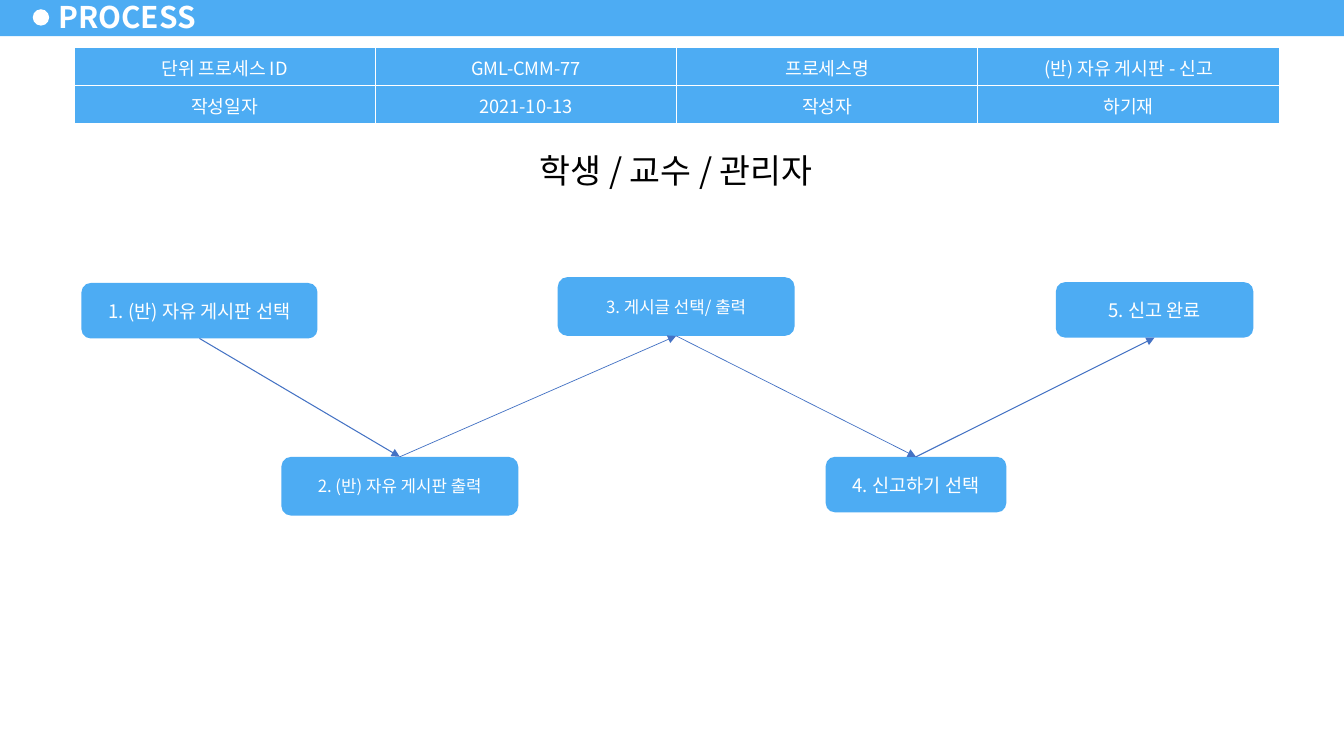
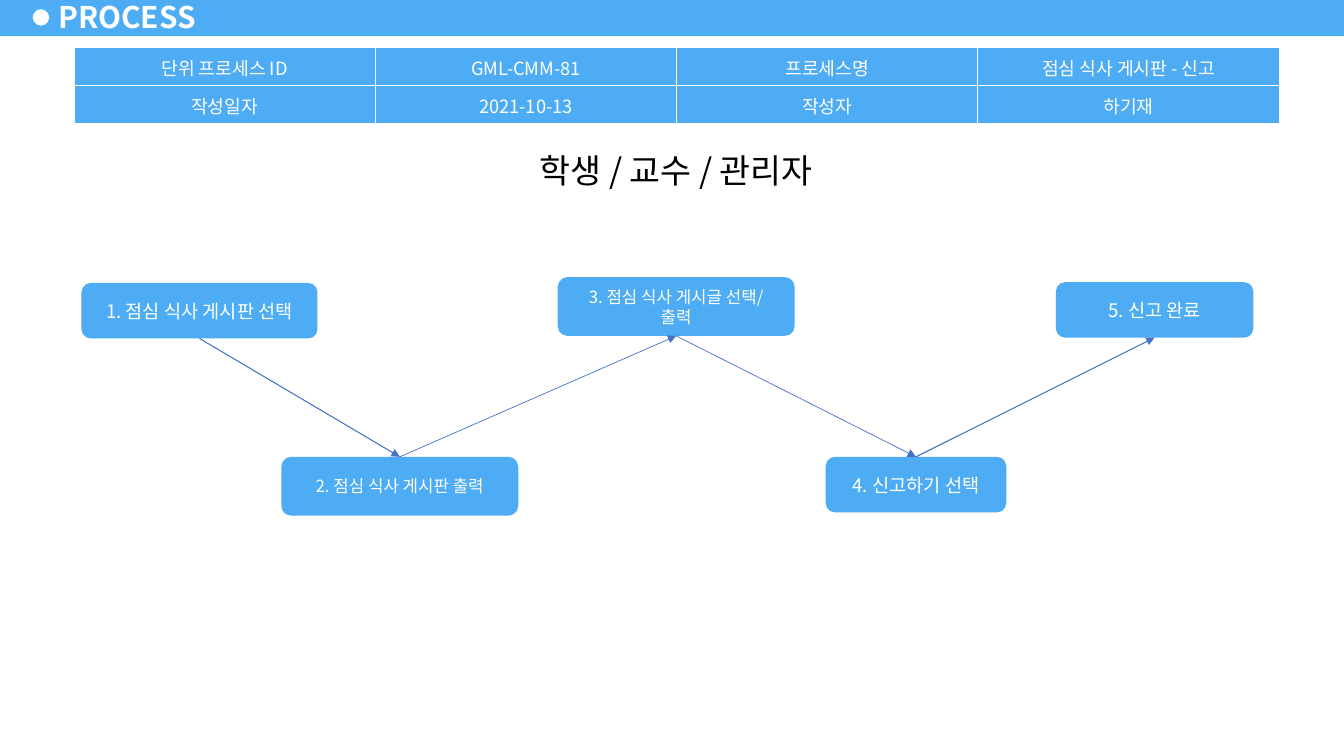
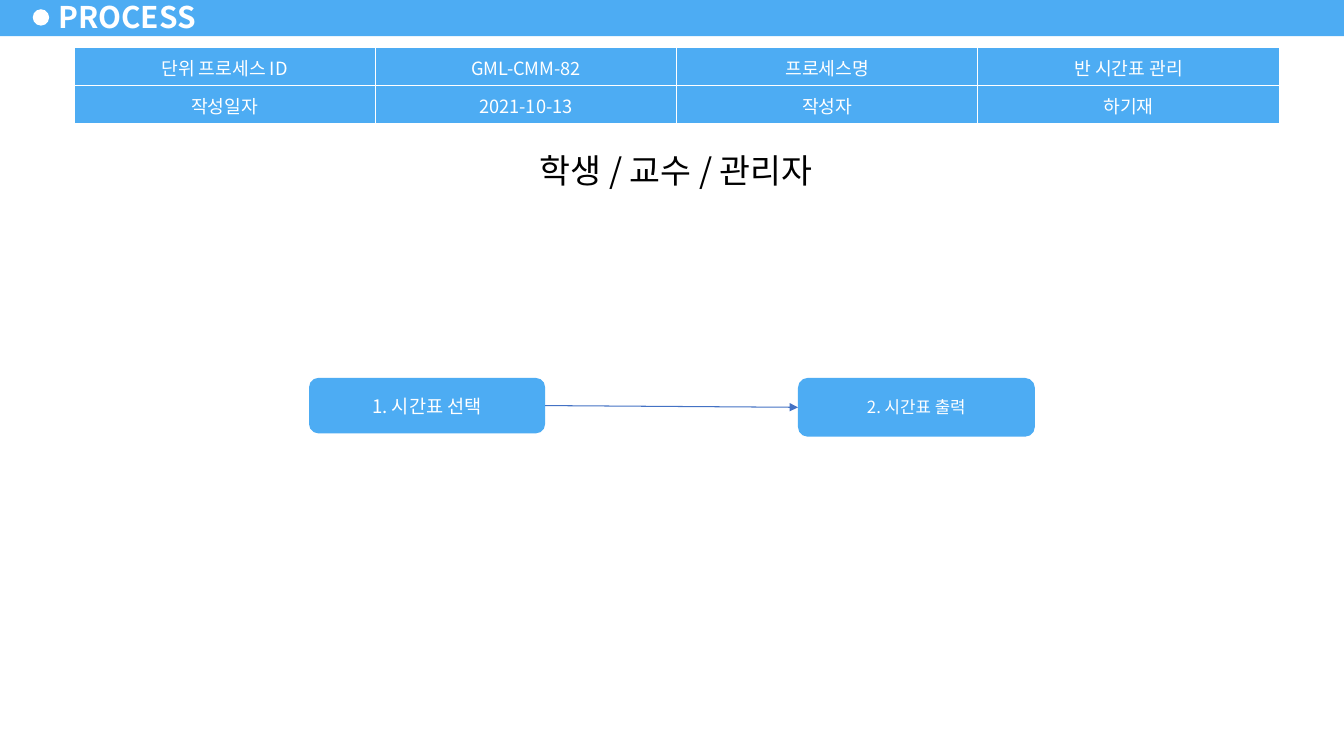
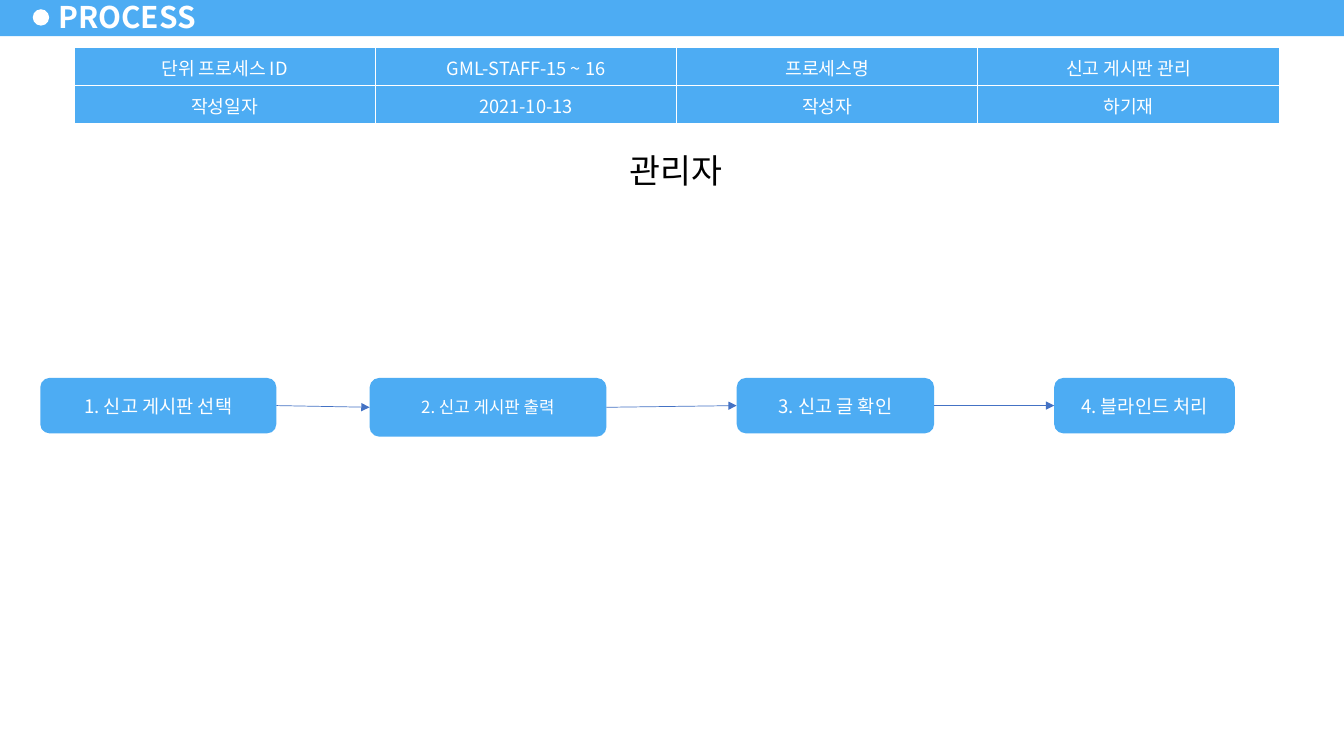
import pptx
import pptx.util
import pptx.dml.color
import pptx.enum.shapes
import pptx.enum.text
import pptx.oxml
import pptx.oxml.ns

SKY = pptx.dml.color.RGBColor(0x4D, 0xAC, 0xF3)
ARROW_BLUE = pptx.dml.color.RGBColor(0x44, 0x72, 0xC4)
WHITE = pptx.dml.color.RGBColor(0xFF, 0xFF, 0xFF)
BLACK = pptx.dml.color.RGBColor(0x00, 0x00, 0x00)

SHAPE = pptx.enum.shapes.MSO_SHAPE
ALIGN = pptx.enum.text.PP_ALIGN
ANCHOR = pptx.enum.text.MSO_ANCHOR
AUTO_SIZE = pptx.enum.text.MSO_AUTO_SIZE

FONT = "Noto Sans CJK KR"
GRID_COLUMNS = 160
TITLE_ONLY = 5
TOP, LEFT, BOTTOM, RIGHT = range(4)

TITLE_TEXT = {"size": pptx.util.Pt(21.3), "bold": True, "color": WHITE}
HEADLINE_TEXT = {"size": pptx.util.Pt(24), "bold": False, "color": BLACK}
TABLE_TEXT = {"size": pptx.util.Pt(13), "bold": False, "color": WHITE}
STEP_TEXT = {"size": pptx.util.Pt(13.3), "bold": False, "color": WHITE}
SMALL_STEP_TEXT = {**STEP_TEXT, "size": pptx.util.Pt(12)}

MARGINS = {
    "margin_left": pptx.util.Inches(0.13),
    "margin_right": pptx.util.Inches(0.13),
    "margin_top": pptx.util.Inches(0.07),
    "margin_bottom": pptx.util.Inches(0.07),
}
TITLE_FRAME = {
    "margin_left": pptx.util.Inches(0.11),
    "margin_right": pptx.util.Inches(0.11),
    "margin_top": pptx.util.Inches(0.06),
    "margin_bottom": pptx.util.Inches(0.06),
    "vertical_anchor": ANCHOR.MIDDLE,
    "auto_size": AUTO_SIZE.NONE,
}
STEP_FRAME = {**MARGINS, "vertical_anchor": ANCHOR.MIDDLE, "word_wrap": True}
HEADLINE_FRAME = {
    **MARGINS,
    "vertical_anchor": ANCHOR.TOP,
    "word_wrap": True,
    "auto_size": AUTO_SIZE.SHAPE_TO_FIT_TEXT,
}
CELL_FORMAT = {**MARGINS, "vertical_anchor": ANCHOR.MIDDLE}

SELECT = (28.1, 6.6, STEP_TEXT)
OUTPUT = (28.2, 7, SMALL_STEP_TEXT)
FINISH = (23.5, 6.6, STEP_TEXT)
ACTION = (21.5, 6.6, STEP_TEXT)

ZIGZAG = [
    (9.7, 33.7, SELECT),
    (33.5, 54.4, OUTPUT),
    (66.4, 33, OUTPUT),
    (98.3, 54.4, ACTION),
    (125.7, 33.6, FINISH),
]
ZIGZAG_WIDTHS = [0.75, 0.5, 0.5, 0.75]
PAIR = [(36.8, 45, SELECT), (95, 45, OUTPUT)]
CHAIN = [(4.8, 45, SELECT), (44, 45, OUTPUT), (87.7, 45, FINISH), (125.5, 45, ACTION)]

EVERYONE = "학생 / 교수 / 관리자"
PROCESSES = [
    ("GML-CMM-77", "(반) 자유 게시판 - 신고", EVERYONE, ZIGZAG, ZIGZAG_WIDTHS,
     ["1. (반) 자유 게시판 선택", "2. (반) 자유 게시판 출력", "3. 게시글 선택/ 출력",
      "4. 신고하기 선택", "5. 신고 완료"]),
    ("GML-CMM-81", "점심 식사 게시판 - 신고", EVERYONE, ZIGZAG, ZIGZAG_WIDTHS,
     ["1. 점심 식사 게시판 선택", "2. 점심 식사 게시판 출력", "3. 점심 식사 게시글 선택/ 출력",
      "4. 신고하기 선택", "5. 신고 완료"]),
    ("GML-CMM-82", "반 시간표 관리", EVERYONE, PAIR, [0.75],
     ["1. 시간표 선택", "2. 시간표 출력"]),
    ("GML-STAFF-15 ~ 16", "신고 게시판 관리", "관리자", CHAIN, [0.5] * 3,
     ["1. 신고 게시판 선택", "2. 신고 게시판 출력", "3. 신고 글 확인", "4. 블라인드 처리"]),
]


def apply_format(target, values):
    for name, value in values.items():
        setattr(target, name, value)


def add_element(parent, tag, **attributes):
    element = pptx.oxml.parse_xml(f"<{tag} {pptx.oxml.ns.nsdecls('a')}/>")
    for name, value in attributes.items():
        element.set(name, value)
    parent.append(element)
    return element


class Deck:
    def __init__(self):
        self.presentation = pptx.Presentation()
        apply_format(self.presentation, {
            "slide_width": pptx.util.Inches(13.33),
            "slide_height": pptx.util.Inches(7.5),
        })
        self.unit = self.presentation.slide_width / GRID_COLUMNS
        self.layout = self.presentation.slide_layouts[TITLE_ONLY]
        self.slide = None

    def grid(self, *lengths):
        return [round(length * self.unit) for length in lengths]

    def place(self, shape, *lengths):
        apply_format(shape, dict(zip(("left", "top", "width", "height"), self.grid(*lengths))))

    def prepare_layout(self):
        for placeholder in list(self.layout.placeholders):
            if placeholder.placeholder_format.type == pptx.enum.shapes.PP_PLACEHOLDER.TITLE:
                self.place(placeholder, 5.64, -0.6, 19.56, 5.16)
            else:
                placeholder.element.getparent().remove(placeholder.element)
        band = self.shape(SHAPE.RECTANGLE, (0, -0.24, GRID_COLUMNS, 4.56), SKY)
        dot = self.shape(SHAPE.OVAL, (3.9, 1.1, 1.95, 1.95), WHITE)
        for shape in (band, dot):
            self.layout.shapes.element.append(shape.element)

    def add_slide(self, title):
        first = self.slide is None
        self.slide = self.presentation.slides.add_slide(self.layout)
        if first:
            self.prepare_layout()
        frame = self.slide.shapes.title.text_frame
        apply_format(frame, TITLE_FRAME)
        self.put_text(frame, title, TITLE_TEXT, ALIGN.LEFT)

    def put_text(self, frame, text, style, alignment=ALIGN.CENTER):
        paragraph = frame.paragraphs[0]
        paragraph.alignment = alignment
        run = paragraph.add_run()
        run.text = text
        apply_format(run.font, {"name": FONT, "size": style["size"], "bold": style["bold"]})
        run.font.color.rgb = style["color"]
        add_element(run._r.get_or_add_rPr(), "a:ea", typeface=FONT)

    def shape(self, kind, box, color):
        shape = self.slide.shapes.add_shape(kind, *self.grid(*box))
        shape.shadow.inherit = False
        shape.fill.solid()
        shape.fill.fore_color.rgb = color
        shape.line.fill.background()
        return shape

    def headline(self, text):
        shape = self.shape(SHAPE.RECTANGLE, (52, 17, 57, 6.5), WHITE)
        apply_format(shape.text_frame, HEADLINE_FRAME)
        self.put_text(shape.text_frame, text, HEADLINE_TEXT)

    def table(self, rows):
        box = self.grid(8.8, 5.7, 143.5, 9)
        table = self.slide.shapes.add_table(len(rows), len(rows[0]), *box).table
        apply_format(table, {"first_row": False, "horz_banding": False})
        for row, texts in enumerate(rows):
            for column, text in enumerate(texts):
                self.cell(table.cell(row, column), text)

    def cell(self, cell, text):
        apply_format(cell, CELL_FORMAT)
        properties = cell._tc.get_or_add_tcPr()
        for side in "LRTB":
            border = add_element(properties, f"a:ln{side}", w=str(pptx.util.Pt(1)))
            add_element(add_element(border, "a:solidFill"), "a:srgbClr", val=str(WHITE))
        cell.fill.solid()
        cell.fill.fore_color.rgb = SKY
        self.put_text(cell.text_frame, text, TABLE_TEXT)

    def step(self, text, left, top, size):
        width, height, style = size
        shape = self.shape(SHAPE.ROUNDED_RECTANGLE, (left, top, width, height), SKY)
        apply_format(shape.text_frame, STEP_FRAME)
        self.put_text(shape.text_frame, text, style)
        return shape

    def arrow(self, start, end, width):
        if start.top < end.top:
            sites = BOTTOM, TOP
        elif start.top > end.top:
            sites = TOP, BOTTOM
        else:
            sites = RIGHT, LEFT
        connector = self.slide.shapes.add_connector(
            pptx.enum.shapes.MSO_CONNECTOR.STRAIGHT, 0, 0, 0, 0)
        connector.begin_connect(start, sites[0])
        connector.end_connect(end, sites[1])
        connector.line.color.rgb = ARROW_BLUE
        connector.line.width = pptx.util.Pt(width)
        add_element(connector.line._get_or_add_ln(), "a:tailEnd", type="triangle")
        add_element(connector.element.spPr, "a:effectLst")

    def flow(self, texts, places, widths):
        steps = [self.step(text, *place) for text, place in zip(texts, places)]
        for start, end, width in zip(steps, steps[1:], widths):
            self.arrow(start, end, width)


def main():
    deck = Deck()
    for code, name, actors, places, widths, texts in PROCESSES:
        deck.add_slide("PROCESS")
        deck.headline(actors)
        deck.table([
            ["단위 프로세스 ID", code, "프로세스명", name],
            ["작성일자", "2021-10-13", "작성자", "하기재"],
        ])
        deck.flow(texts, places, widths)
    deck.presentation.save("out.pptx")


if __name__ == "__main__":
    main()
